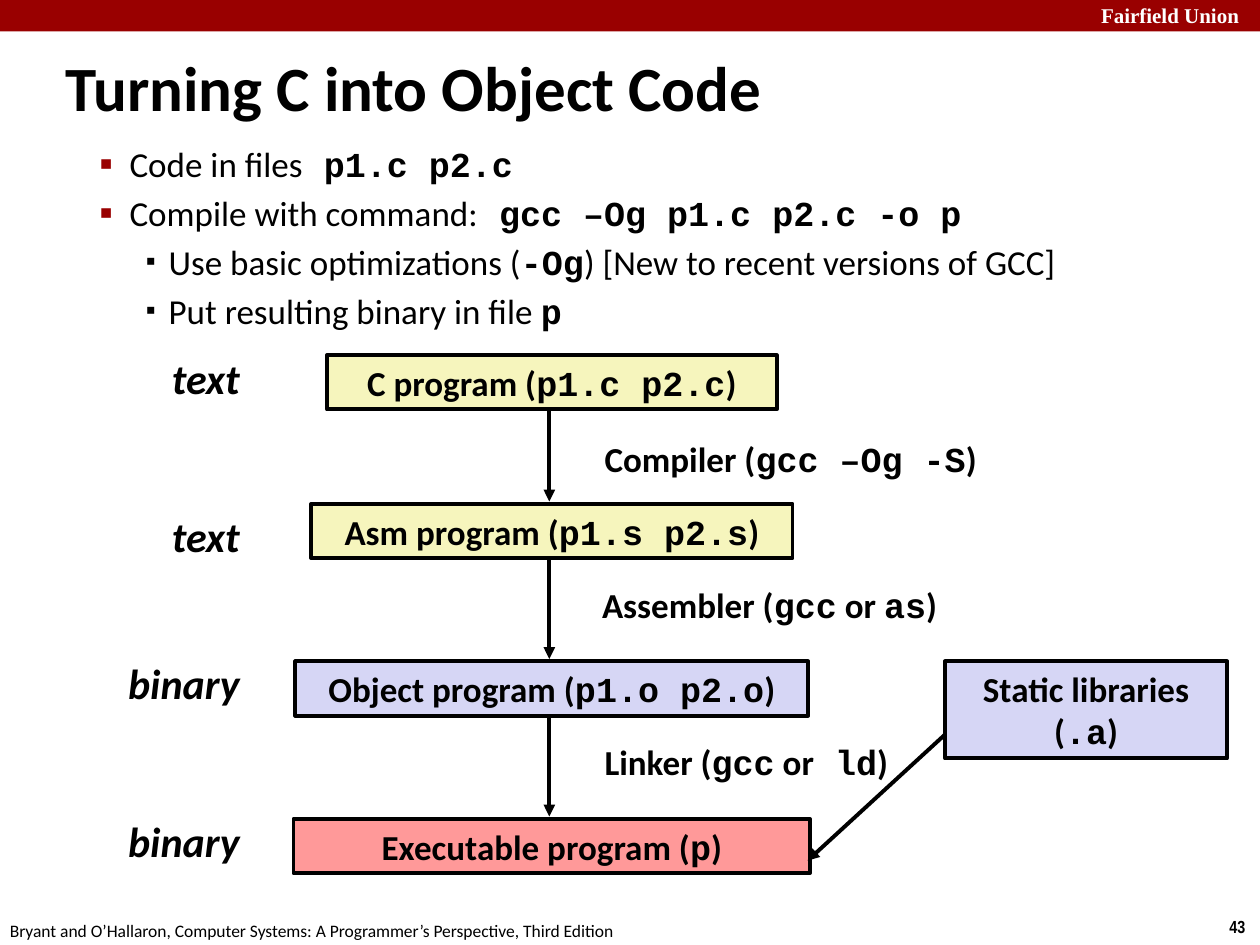
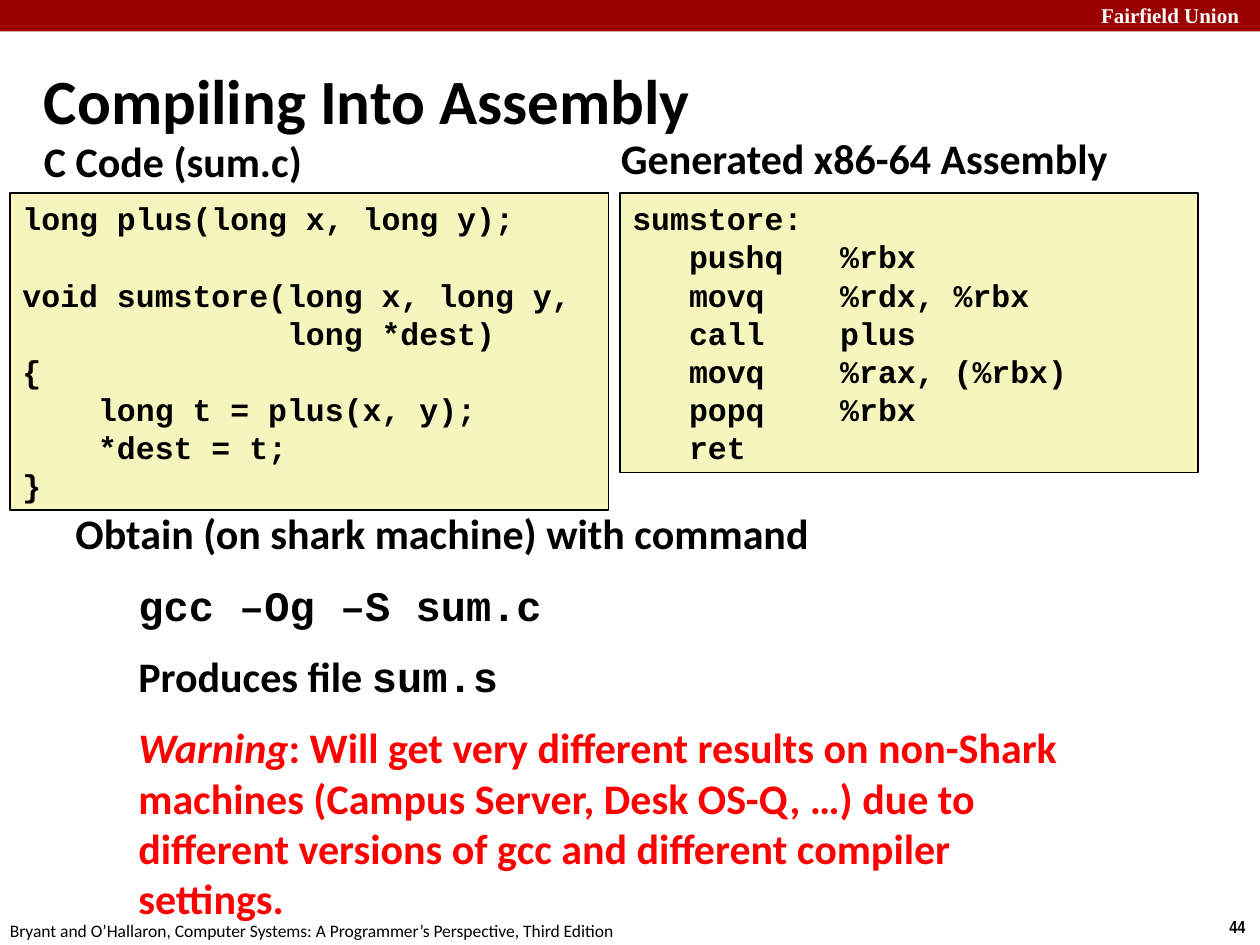
from dataclasses import dataclass
from lxml.etree import SubElement
from pptx import Presentation
from pptx.dml.color import RGBColor as RGB
from pptx.enum.shapes import MSO_CONNECTOR as Link, MSO_SHAPE as Kind
from pptx.enum.text import MSO_ANCHOR as Anchor, PP_ALIGN as Align
from pptx.oxml.ns import qn
from pptx.util import Inches, Pt


@dataclass(frozen=True)
class Theme:
    black: str = "000000"
    white: str = "FFFFFF"
    brand: str = "990000"
    alert: str = "FF0000"
    cream: str = "F6F5BD"
    lilac: str = "D6D6F5"
    rose: str = "FF9999"
    sans: str = "Calibri"
    mono: str = "Courier New"
    serif: str = "Times New Roman"
    narrow: str = "Arial Narrow"
    title: int = 36
    head: int = 24
    body: int = 20
    code: int = 18
    small: int = 12
    foot: int = 10


T = Theme()

SCHOOL = "Fairfield Union"
SOURCE = "Bryant and O’Hallaron, Computer Systems: A Programmer’s Perspective, Third Edition"

# Markup in text: `mono`, |italic|
STEPS = [
    ("Code in files` p1.c p2.c`", 1),
    ("Compile with command:` gcc –Og p1.c p2.c -o p`", 1),
    ("Use basic optimizations (`-Og`) [New to recent versions of GCC]", 2),
    ("Put resulting binary in file `p`", 2),
]
STAGES = [
    ("C program (`p1.c p2.c`)", 2.82, 3.57, T.cream, "text", 2.75),
    ("Asm program (`p1.s p2.s`)", 4, 3.82, T.cream, "text", 4),
    ("Object program (`p1.o p2.o`)", 5.25, 4.07, T.lilac, "binary", 5.17),
    ("Executable program (`p`)", 6.5, 4.1, T.rose, "binary", 6.42),
]
TOOLS = [
    ("Compiler (`gcc –Og -S`)", 4.7, 3.42),
    ("Assembler (`gcc` or `as`)", 4.68, 4.58),
    ("Linker (`gcc` or` ld`)", 4.7, 5.83),
]
LIBS = "Static libraries (`.a`)"

C_CODE = [
    (0, "long plus(long x, long y);"),
    None,
    (0, "void sumstore(long x, long y,"),
    (14, "long *dest)"),
    (0, "{"),
    (4, "long t = plus(x, y);"),
    (4, "*dest = t;"),
    (0, "}"),
]
ASM = [
    (0, "sumstore:"),
    (3, "pushq", "%rbx"),
    (3, "movq", "%rdx, %rbx"),
    (3, "call", "plus"),
    (3, "movq", "%rax, (%rbx)"),
    (3, "popq", "%rbx"),
    (3, "ret"),
]
NOTES = [
    "Obtain (on shark machine) with command",
    ("`gcc –Og –S sum.c`", dict(left=0.5, level=1)),
    ("Produces file `sum.s`", dict(left=0.5, level=1)),
    ("|Warning|: Will get very different results on non-Shark machines "
     "(Campus Server, Desk OS-Q, …) due to different versions of gcc and "
     "different compiler settings.", dict(left=0.5, level=1, color=T.alert)),
]

BULLETS = {
    1: dict(left=0.61, hang=-0.24, level=1, bullet=(110, T.brand)),
    2: dict(left=0.92, hang=-0.18, level=2, bullet=(80, T.black)),
}
BASE = dict(size=T.body, font=T.sans, color=T.black, bold=False, ital=False,
            align=Align.LEFT, left=0, hang=0, level=0, before=0, line=None,
            bullet=None, strong=False)
AXIS, ARROW, TALL, GAP = 4.38, 4.36, 0.43, 0.02
CELL, FIELD, PITCH = 0.15, 11, 21.8


def mark(par, bullet):
    size, color = bullet
    props = par._p.get_or_add_pPr()
    tint = SubElement(props, qn("a:buClr"))
    SubElement(tint, qn("a:srgbClr"), val=color)
    SubElement(props, qn("a:buSzPct"), val=str(size * 1000))
    SubElement(props, qn("a:buFont"), typeface="Arial")
    SubElement(props, qn("a:buChar"), char="▪")


def write(frame, text, **style):
    items = text if isinstance(text, list) else [text]
    for i, item in enumerate(items):
        words, extra = item if isinstance(item, tuple) else (item, {})
        f = {**BASE, **style, **extra}
        par = frame.add_paragraph() if i else frame.paragraphs[0]
        par.alignment, par.level = f["align"], f["level"]
        par.space_before = Pt(f["before"])
        if f["line"]:
            par.line_spacing = Pt(f["line"])
        props = par._p.get_or_add_pPr()
        props.set("marL", str(Inches(f["left"])))
        props.set("indent", str(Inches(f["hang"])))
        if f["bullet"]:
            mark(par, f["bullet"])
        for m, chunk in enumerate(words.split("`")):
            for s, part in enumerate(chunk.split("|")):
                if not part:
                    continue
                run = par.add_run()
                run.text = part
                font = run.font
                font.name = T.mono if m % 2 else f["font"]
                font.size = Pt(f["size"])
                font.bold = f["bold"] or (f["strong"] and m % 2 == 1)
                font.italic = f["ital"] or s % 2 == 1
                font.color.rgb = RGB.from_string(f["color"])


def put(slide, text, box, fill=None, edge=0, wrap=True, mid=False, **style):
    area = [Inches(v) for v in box]
    if fill:
        shape = slide.shapes.add_shape(Kind.RECTANGLE, *area)
        shape.shadow.inherit = False
        shape.fill.solid()
        shape.fill.fore_color.rgb = RGB.from_string(fill)
        if edge:
            shape.line.color.rgb = RGB.from_string(T.black)
            shape.line.width = Pt(edge)
        else:
            shape.line.fill.background()
    else:
        shape = slide.shapes.add_textbox(*area)
    frame = shape.text_frame
    frame.word_wrap = wrap
    frame.vertical_anchor = Anchor.MIDDLE if mid else Anchor.TOP
    if text:
        write(frame, text, **style)


def arrow(slide, x1, y1, x2, y2):
    link = slide.shapes.add_connector(
        Link.STRAIGHT, *[Inches(v) for v in (x1, y1, x2, y2)])
    link.line.color.rgb = RGB.from_string(T.black)
    link.line.width = Pt(2.25)
    SubElement(link.line._get_or_add_ln(), qn("a:tailEnd"), type="triangle")
    SubElement(link._element.spPr, qn("a:effectLst"))


def start(deck, title, box, number):
    slide = deck.slides.add_slide(deck.slide_layouts[6])
    put(slide, "", (0, 0, 10, 0.25), fill=T.brand)
    put(slide, SCHOOL, (8.64, -0.03, 1.43, 0.3), size=T.small,
        font=T.serif, color=T.white, bold=True)
    put(slide, str(number), (9.66, 7.22, 0.34, 0.27), wrap=False,
        size=T.foot, font=T.narrow, bold=True)
    put(slide, SOURCE, (-0.02, 7.25, 5.08, 0.27), size=T.foot)
    put(slide, title, box, mid=True, size=T.title, bold=True,
        left=0.13, hang=-0.13)
    return slide


def listing(slide, rows, box):
    lines, skip = [], 0
    for row in rows:
        if row is None:
            skip = PITCH
            continue
        col, *parts = row
        stop = FIELD if len(parts) > 1 else col
        lines.append(("\t".join(parts), dict(
            left=stop * CELL, hang=(col - stop) * CELL, before=skip)))
        skip = 0
    put(slide, lines, box, fill=T.cream, edge=1, size=T.code,
        font=T.mono, bold=True, line=PITCH)


def flow(deck):
    slide = start(deck, "Turning C into Object Code",
                  (0.42, 0.37, 7.65, 0.63), 43)
    put(slide, [(text, BULLETS[level]) for text, level in STEPS],
        (0.32, 1.08, 9.09, 1.6), before=4, strong=True)
    for text, top, wide, fill, kind, high in STAGES:
        put(slide, kind, (0.91, high, 1.09, 0.5), size=T.head,
            bold=True, ital=True, align=Align.RIGHT)
        put(slide, text, (AXIS - wide / 2, top, wide, TALL), fill=fill,
            edge=2.25, bold=True, align=Align.CENTER)
    for here, after in zip(STAGES, STAGES[1:]):
        arrow(slide, ARROW, here[1] + TALL, ARROW, after[1] - GAP)
    for text, left, top in TOOLS:
        put(slide, text, (left, top, 3.33, TALL), bold=True)
    put(slide, LIBS, (7.5, 5.25, 2.24, 0.77), fill=T.lilac, edge=2.25,
        bold=True, align=Align.CENTER)
    arrow(slide, 7.5, 5.83, 6.41, 6.83)


def compare(deck):
    slide = start(deck, "Compiling Into Assembly",
                  (0.25, 0.48, 7.49, 0.61), 44)
    head = dict(size=T.head, bold=True)
    put(slide, "C Code (sum.c)", (0.25, 1.03, 2.67, 0.4), **head)
    put(slide, "Generated x86-64 Assembly", (4.83, 1, 4.5, 0.45), **head)
    listing(slide, C_CODE, (0.08, 1.53, 4.75, 2.52))
    listing(slide, ASM, (4.92, 1.53, 4.59, 2.22))
    put(slide, NOTES, (0.5, 3.98, 8.17, 3.73), before=12, **head)


deck = Presentation()
deck.slide_width, deck.slide_height = Inches(10), Inches(7.5)
flow(deck)
compare(deck)
deck.save("out.pptx")
